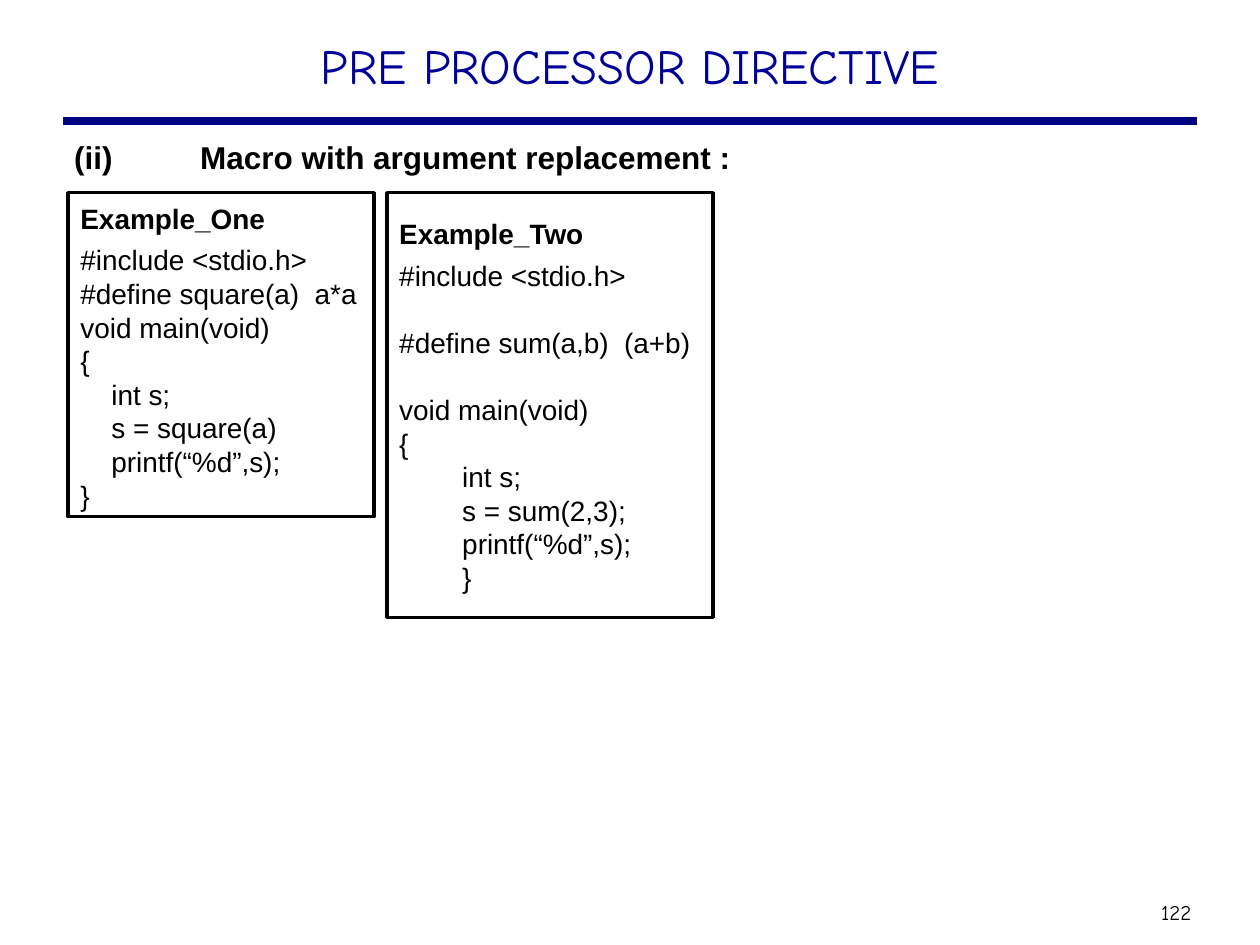
from lxml.etree import SubElement
from pptx import Presentation
from pptx.dml.color import RGBColor
from pptx.enum.shapes import MSO_CONNECTOR, MSO_SHAPE
from pptx.enum.text import MSO_ANCHOR, PP_ALIGN
from pptx.oxml.ns import qn
from pptx.util import Inches, Pt

BLACK = RGBColor(0, 0, 0)
NAVY = RGBColor(0, 0, 0x80)
TITLE_BLUE = RGBColor(0, 0, 0x99)
CODE_LINE = 19.2  # line pitch in points
BOX_TOP = 1.53

# Each code line: text, space before in points, indent in inches
EXAMPLE_ONE = [
    ("#include <stdio.h>", 4.5, 0),
    ("#define square(a)  a*a", 0, 0),
    ("void main(void)", 0, 0),
    ("{", 0, 0),
    ("    int s;", 0, 0),
    ("    s = square(a)", 0, 0),
    ("    printf(“%d”,s);", 0, 0),
    ("}", 0, 0),
]
EXAMPLE_TWO = [
    ("#include <stdio.h>", 4.5, 0),
    ("#define sum(a,b)  (a+b)", CODE_LINE, 0),
    ("void main(void)", CODE_LINE, 0),
    ("{", 0, 0),
    ("int s;", 0, 0.5),
    ("s = sum(2,3);", 0, 0.5),
    ("printf(“%d”,s);", 0, 0.5),
    ("}", 0, 0.5),
]


def style(paragraph, size, name="Arial", color=BLACK, bold=False):
    font = paragraph.font
    font.size, font.name, font.bold = Pt(size), name, bold
    font.color.rgb = color


def add_text(slide, text, left, top, width, height, size, name, color=BLACK,
             bold=False, align=PP_ALIGN.LEFT, tab=None, side_inset=0.1):
    box = slide.shapes.add_textbox(Inches(left), Inches(top), Inches(width), Inches(height))
    frame = box.text_frame
    frame.word_wrap = True
    frame.margin_left = frame.margin_right = Inches(side_inset)
    paragraph = frame.paragraphs[0]
    paragraph.text = text
    paragraph.alignment = align
    if tab:
        tabs = SubElement(paragraph._p.get_or_add_pPr(), qn("a:tabLst"))
        SubElement(tabs, qn("a:tab"), pos=str(Inches(tab)), algn="l")
    style(paragraph, size, name, color, bold)


def add_rule(slide, left, right, y):
    rule = slide.shapes.add_connector(
        MSO_CONNECTOR.STRAIGHT, Inches(left), Inches(y), Inches(right), Inches(y))
    rule.line.color.rgb = NAVY
    rule.line.width = Pt(4.5)
    SubElement(rule._element.spPr, qn("a:effectLst"))


def add_code_box(slide, heading, code, left, width, height, top_inset):
    shape = slide.shapes.add_shape(
        MSO_SHAPE.RECTANGLE, Inches(left), Inches(BOX_TOP), Inches(width), Inches(height))
    shape.shadow.inherit = False
    shape.fill.background()
    shape.line.color.rgb = BLACK
    shape.line.width = Pt(2)
    frame = shape.text_frame
    frame.word_wrap = True
    frame.vertical_anchor = MSO_ANCHOR.TOP
    frame.margin_top = Inches(top_inset)
    for index, (text, before, indent) in enumerate([(heading, 0, 0)] + code):
        paragraph = frame.add_paragraph() if index else frame.paragraphs[0]
        paragraph.text = text
        paragraph.alignment = PP_ALIGN.LEFT
        paragraph.line_spacing = Pt(CODE_LINE)
        paragraph.space_before = Pt(before)
        if indent:
            paragraph._p.get_or_add_pPr().set("marL", str(Inches(indent)))
        style(paragraph, 16, bold=index == 0)


def main():
    presentation = Presentation()
    presentation.slide_width, presentation.slide_height = Inches(10), Inches(7.5)
    slide = presentation.slides.add_slide(presentation.slide_layouts[6])

    # Title, rule and page number
    add_rule(slide, 0.5, 9.5, 0.96)
    add_text(slide, "122", 9.1, 7.09, 0.47, 0.3, 12, "Comic Neue", align=PP_ALIGN.CENTER,
             side_inset=0.05)
    add_text(slide, "PRE PROCESSOR DIRECTIVE", 0.75, 0.23, 8.5, 0.65, 28,
             "Comic Neue", TITLE_BLUE, align=PP_ALIGN.CENTER)

    # Topic heading
    add_text(slide, "(ii)\tMacro with argument replacement :", 0.49, 1.05, 8.98, 0.4,
             18, "Arial", bold=True, tab=1)

    # Code examples
    add_code_box(slide, "Example_One", EXAMPLE_ONE, 0.54, 2.43, 2.57, 0.07)
    add_code_box(slide, "Example_Two", EXAMPLE_TWO, 3.07, 2.59, 3.37, 0.19)

    presentation.save("out.pptx")


if __name__ == "__main__":
    main()
